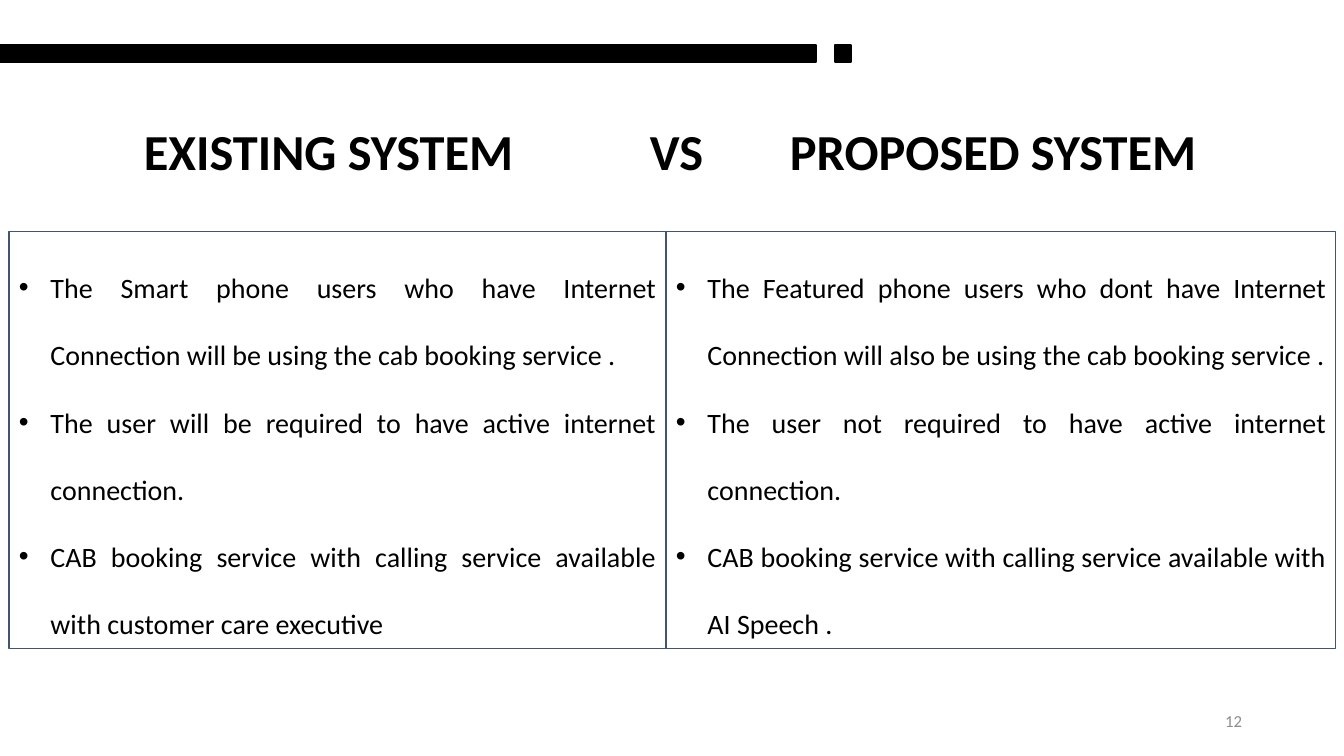
from lxml import etree
from pptx import Presentation
from pptx import util as u
from pptx.dml import color
from pptx.enum import shapes, text
from pptx.oxml import ns

PX = 12192000 / 1344
BLACK, SLATE, GREY = "000000", "44546A", "8C8C8C"

deck = Presentation()
deck.slide_width, deck.slide_height = u.Emu(12192000), u.Emu(6858000)
page = deck.slides.add_slide(deck.slide_layouts[6])


def add_box(left, top, width, height, fill=None, line=None, line_width=1):
    """Add a rectangle, or a text box when it has neither fill nor line."""
    place = [u.Emu(round(side * PX)) for side in (left, top, width, height)]
    if fill or line:
        box = page.shapes.add_shape(shapes.MSO_SHAPE.RECTANGLE, *place)
        box.shadow.inherit = False
        box.line.color.rgb = color.RGBColor.from_string(line)
        box.line.width = u.Pt(line_width)
        if fill:
            box.fill.solid()
            box.fill.fore_color.rgb = color.RGBColor.from_string(fill)
        else:
            box.fill.background()
    else:
        box = page.shapes.add_textbox(*place)
    box.text_frame.word_wrap = True
    return box


def add_span(para, wording, size, hue=BLACK, bold=False):
    span = para.add_run()
    span.text = wording
    span.font.name = "Calibri"
    span.font.size = u.Pt(size)
    span.font.bold = bold
    span.font.color.rgb = color.RGBColor.from_string(hue)


# Title: three parts held apart by tab stops
title = add_box(134, 115, 1118, 72).text_frame.paragraphs[0]
add_span(title, "EXISTING SYSTEM\tVS\tPROPOSED SYSTEM", 36, bold=True)
stops = etree.SubElement(title._p.get_or_add_pPr(), ns.qn("a:tabLst"))
for stop in (506, 646):
    etree.SubElement(stops, ns.qn("a:tab"), pos=str(round(stop * PX)), algn="l")

# Black bar with its end square
for left, width in ((0, 816), (835, 16)):
    add_box(left, 45, width, 17, fill=BLACK, line=BLACK)

# Panels of the two systems
panels = [
    (9, 657, [
        "The Smart phone users who have Internet Connection will be using the cab booking service .",
        "The user will be required to have active internet connection.",
        "CAB booking service with calling service available with customer care executive",
    ]),
    (666, 670, [
        "The Featured phone users who dont have Internet Connection will also be using the cab booking service .",
        "The user not required to have active internet connection.",
        "CAB booking service with calling service available with AI Speech .",
    ]),
]
indent = round(31.5 * PX)
for left, width, points in panels:
    frame = add_box(left, 232, width, 417, line=SLATE, line_width=0.75).text_frame
    frame.vertical_anchor = text.MSO_ANCHOR.TOP
    for index, point in enumerate(points):
        para = frame.add_paragraph() if index else frame.paragraphs[0]
        para.alignment = text.PP_ALIGN.JUSTIFY
        para.line_spacing = 2.0
        props = para._p.get_or_add_pPr()
        props.set("marL", str(indent))
        props.set("indent", str(-indent))
        etree.SubElement(props, ns.qn("a:buFont"), typeface="Arial")
        etree.SubElement(props, ns.qn("a:buChar"), char="•")
        add_span(para, point, 20)

# Slide number
frame = add_box(950, 701, 302, 40).text_frame
frame.vertical_anchor = text.MSO_ANCHOR.MIDDLE
frame.paragraphs[0].alignment = text.PP_ALIGN.RIGHT
add_span(frame.paragraphs[0], "12", 12, GREY)

deck.save("out.pptx")
